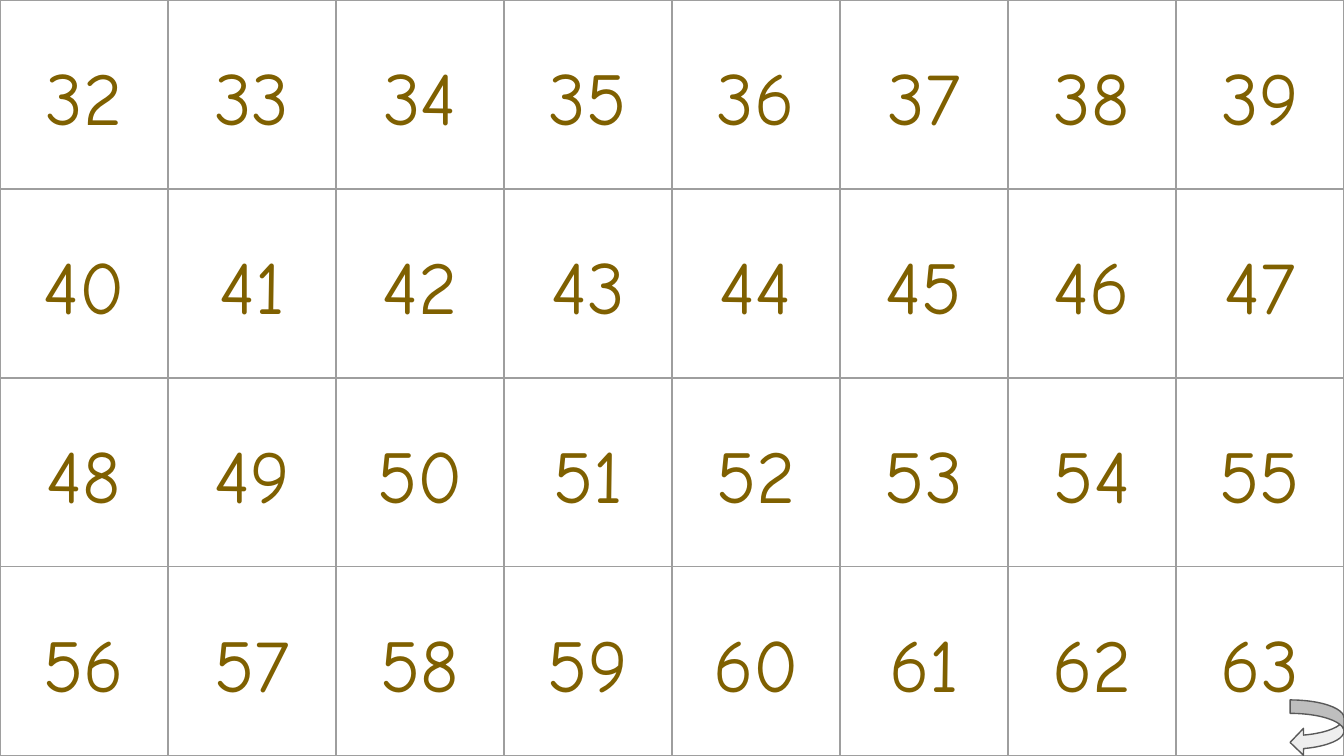
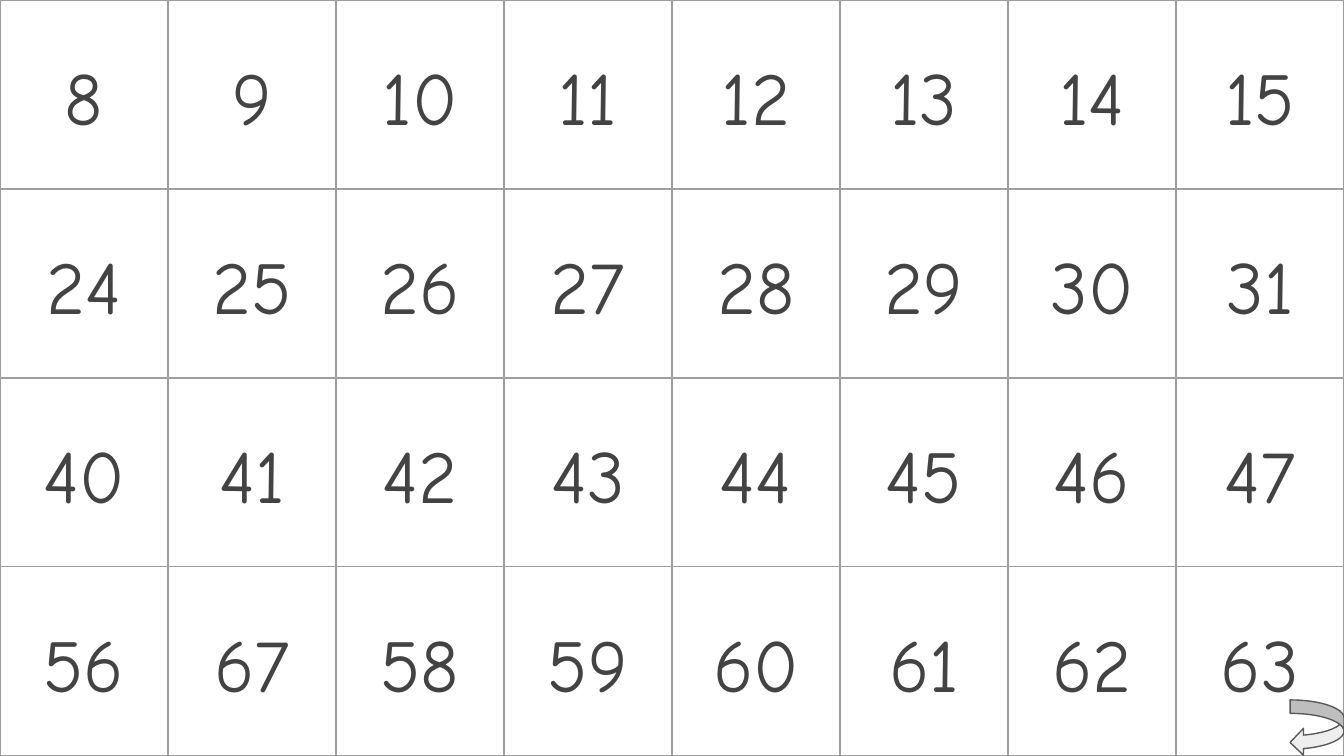
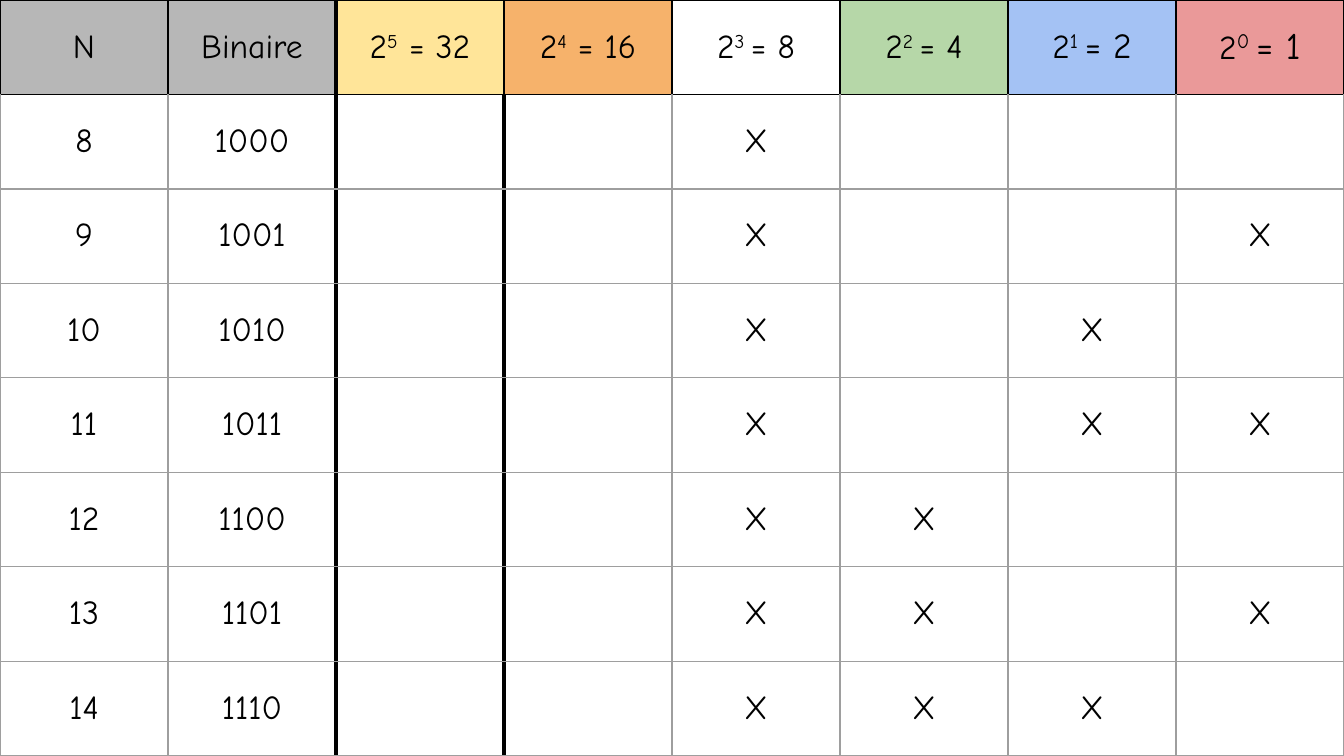
"""Builds three slides of number grids and a binary table."""
from lxml import etree
from pptx import Presentation, util as u
from pptx.dml.color import RGBColor
from pptx.enum import shapes, text
from pptx.oxml import ns

HUES = {
    "ink": "000000", "grid": "9E9E9E", "gold": "7F6000", "slate": "434343",
    "grey": "B7B7B7", "sand": "FFE599", "peach": "F6B26B", "white": "FFFFFF",
    "mint": "B6D7A8", "sky": "A4C2F4", "rose": "EA9999",
    "pale": "EEEEEE", "edge": "595959",
}
WIDE, HIGH, COLS = 1920, 1080, 8
THIN, BOLD = ("grid", 0.75), ("ink", 3)


def px(n):
    return u.Emu(int(n * 4762.5))


def hue(name):
    return RGBColor.from_string(HUES[name])


class Deck:
    def __init__(self):
        self.prs = Presentation()
        self.prs.slide_width, self.prs.slide_height = px(WIDE), px(HIGH)
        self.font = "Comic Neue"
        self.slide = None

    def page(self):
        self.slide = self.prs.slides.add_slide(self.prs.slide_layouts[6])

    def table(self, count):
        frame = self.slide.shapes.add_table(count, COLS, 0, 0, px(WIDE), px(HIGH))
        table = frame.table
        table.first_row = table.horz_banding = False
        for col in table.columns:
            col.width = px(WIDE // COLS)
        for row in table.rows:
            row.height = px(HIGH // count)
        return table

    def cell(self, cell, runs, size, ink="ink", fill=None, sides=None, gap=None):
        cell.vertical_anchor = text.MSO_ANCHOR.MIDDLE
        cell.margin_left = cell.margin_right = px(19)
        cell.margin_top = cell.margin_bottom = px(19)
        self.rim(cell, sides or {})
        if fill:
            cell.fill.solid()
            cell.fill.fore_color.rgb = hue(fill)
        else:
            cell.fill.background()
        para = cell.text_frame.paragraphs[0]
        para.alignment = text.PP_ALIGN.CENTER
        if gap:
            para.line_spacing = gap
        for words, pts, high in runs:
            self.run(para, words, pts or size, ink, high)

    def run(self, para, words, size, ink, high):
        run = para.add_run()
        run.text = words
        run.font.name = self.font
        run.font.size = u.Pt(size)
        run.font.color.rgb = hue(ink)
        if high:
            run.font._element.set("baseline", "30000")

    def rim(self, cell, sides):
        props = cell._tc.get_or_add_tcPr()
        for side in "LRTB":
            name, wide = sides.get(side, THIN)
            line = etree.SubElement(props, ns.qn(f"a:ln{side}"), w=str(u.Pt(wide)))
            solid = etree.SubElement(line, ns.qn("a:solidFill"))
            etree.SubElement(solid, ns.qn("a:srgbClr"), val=HUES[name])

    def arrow(self, x, y, w, h):
        kind = shapes.MSO_SHAPE.CURVED_LEFT_ARROW
        shape = self.slide.shapes.add_shape(kind, px(x), px(y), px(w), px(h))
        shape.shadow.inherit = False
        shape.fill.solid()
        shape.fill.fore_color.rgb = hue("pale")
        shape.line.color.rgb = hue("edge")
        shape.line.width = u.Pt(0.75)

    def card(self, nums, ink):
        self.page()
        table = self.table(len(nums) // COLS)
        for cell, num in zip(table.iter_cells(), nums):
            self.cell(cell, [(str(num), None, False)], 40, ink, gap=1.15)
        self.arrow(1843, 1000, 77, 80)

    def chart(self, heads, nums):
        self.page()
        table = self.table(len(nums) + 1)
        for j, (fill, runs) in enumerate(heads):
            sides = dict.fromkeys("LRTB", ("ink", 0.75))
            sides.update({1: {"R": BOLD}, 2: {"L": BOLD}}.get(j, {}))
            self.cell(table.cell(0, j), runs, 18, fill=fill, sides=sides)
        for i, num in enumerate(nums, 1):
            bits = f"{num:06b}"
            marks = ["X" if bit == "1" else "" for bit in bits]
            for j, word in enumerate([str(num), f"{num:b}"] + marks):
                sides = {1: {"R": BOLD}, 2: {"L": BOLD, "R": BOLD}}.get(j, {})
                if i == 1:
                    sides["T"] = ("ink", 0.75)
                runs = [(word, None, False)] if word else []
                self.cell(table.cell(i, j), runs, 18, sides=sides)


def power(exp, tail, high=None, last=None):
    return [("2", None, False), (exp, high, True), (tail, last, False)]


def main():
    deck = Deck()
    deck.card(list(range(32, 64)), "gold")
    eights = [67 if n == 57 else n for n in range(64) if n & 8]
    deck.card(eights, "slate")
    heads = [
        ("grey", [("N", None, False)]),
        ("grey", [("Binaire", None, False)]),
        ("sand", power("5", " = 32")),
        ("peach", power("4", " = 16")),
        ("white", power("3 ", "= 8")),
        ("mint", power("2 ", "= 4")),
        ("sky", power("1 ", "= 2", 19, 19)),
        ("rose", power("0 ", "= 1", 19, 20)),
    ]
    deck.chart(heads, range(8, 15))
    deck.prs.save("out.pptx")


if __name__ == "__main__":
    main()
